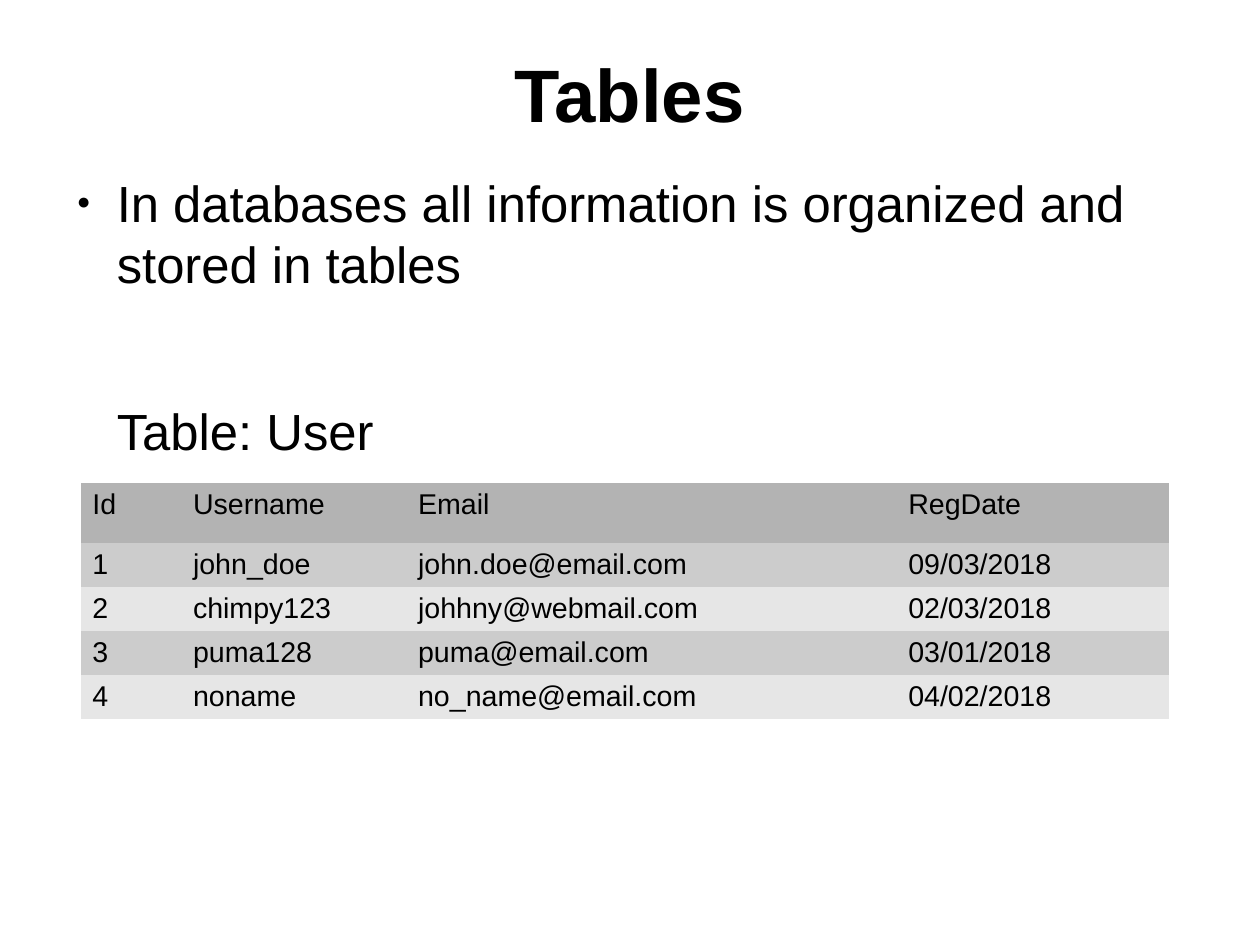
from lxml import etree
from pptx import Presentation
from pptx.dml.color import RGBColor
from pptx.enum import text
from pptx.oxml.ns import qn
from pptx.util import Pt

BLACK = RGBColor(0x00, 0x00, 0x00)
HEADER_GRAY = RGBColor(0xB3, 0xB3, 0xB3)
BAND_GRAYS = (RGBColor(0xCC, 0xCC, 0xCC), RGBColor(0xE6, 0xE6, 0xE6))
FONT = "Arial"
PLAIN_TABLE_STYLE = "{2D5ABB26-0587-4C30-8999-92F81FD0307C}"

COLUMN_WIDTHS = (63.4, 141.8, 308.8, 171.4)
HEADER_HEIGHT = 37.8
ROW_HEIGHT = 27.7
USERS = (
    ("Id", "Username", "Email", "RegDate"),
    ("1", "john_doe", "john.doe@email.com", "09/03/2018"),
    ("2", "chimpy123", "johhny@webmail.com", "02/03/2018"),
    ("3", "puma128", "puma@email.com", "03/01/2018"),
    ("4", "noname", "no_name@email.com", "04/02/2018"),
)


def write(para, words, size, bold=False, align=text.PP_ALIGN.LEFT,
          line=None, after=0):
    para.alignment = align
    para.space_before = Pt(0)
    para.space_after = Pt(after)
    if line:
        para.line_spacing = Pt(line)
    span = para.add_run()
    span.text = words
    span.font.name = FONT
    span.font.size = Pt(size)
    span.font.bold = bold
    span.font.color.rgb = BLACK


def set_frame(frame, anchor):
    frame.word_wrap = True
    frame.auto_size = text.MSO_AUTO_SIZE.NONE
    frame.vertical_anchor = anchor
    frame.margin_left = frame.margin_right = Pt(0)
    frame.margin_top = frame.margin_bottom = Pt(0)


def indent(para, left, first=0, bullet=None):
    properties = para._p.get_or_add_pPr()
    properties.set("marL", str(Pt(left)))
    properties.set("indent", str(Pt(first)))
    if bullet:
        etree.SubElement(properties, qn("a:buSzPct")).set("val", "45000")
        etree.SubElement(properties, qn("a:buFont")).set("typeface", FONT)
        etree.SubElement(properties, qn("a:buChar")).set("char", bullet)
    else:
        etree.SubElement(properties, qn("a:buNone"))


def add_title(page, words):
    title = page.shapes.title
    title.left, title.top = Pt(39.6), Pt(23.8)
    title.width, title.height = Pt(714.2), Pt(69.8)
    set_frame(title.text_frame, text.MSO_ANCHOR.MIDDLE)
    write(title.text_frame.paragraphs[0], words, 46.8, bold=True,
          align=text.PP_ALIGN.CENTER)


def add_body(page, statement, caption):
    box = page.shapes.add_textbox(Pt(39.6), Pt(108), Pt(698.4), Pt(460.8))
    frame = box.text_frame
    set_frame(frame, text.MSO_ANCHOR.TOP)
    para = frame.paragraphs[0]
    write(para, statement, 32, line=38.4, after=66.8)
    indent(para, 34, first=-25.2, bullet="●")
    para = frame.add_paragraph()
    write(para, caption, 32, line=38.4, after=14.2)
    indent(para, 34)


def add_user_table(page, rows):
    height = HEADER_HEIGHT + ROW_HEIGHT * (len(rows) - 1)
    shape = page.shapes.add_table(len(rows), len(COLUMN_WIDTHS), Pt(51),
                                  Pt(304.3), Pt(sum(COLUMN_WIDTHS)), Pt(height))
    table = shape.table
    table.horz_banding = False
    table._tbl.tblPr.find(qn("a:tableStyleId")).text = PLAIN_TABLE_STYLE
    for column, width in zip(table.columns, COLUMN_WIDTHS):
        column.width = Pt(width)
    for index, values in enumerate(rows):
        table.rows[index].height = Pt(ROW_HEIGHT if index else HEADER_HEIGHT)
        color = BAND_GRAYS[(index - 1) % 2] if index else HEADER_GRAY
        for cell, value in zip(table.rows[index].cells, values):
            cell.fill.solid()
            cell.fill.fore_color.rgb = color
            cell.margin_left = cell.margin_right = Pt(7.2)
            cell.margin_top = cell.margin_bottom = Pt(3.6)
            write(cell.text_frame.paragraphs[0], value, 18)


def main():
    deck = Presentation()
    deck.slide_width, deck.slide_height = Pt(793.7), Pt(595.3)
    page = deck.slides.add_slide(deck.slide_layouts[5])
    add_title(page, "Tables")
    add_body(page,
             "In databases all information is organized and stored in tables",
             "Table: User")
    add_user_table(page, USERS)
    deck.save("out.pptx")


if __name__ == "__main__":
    main()
